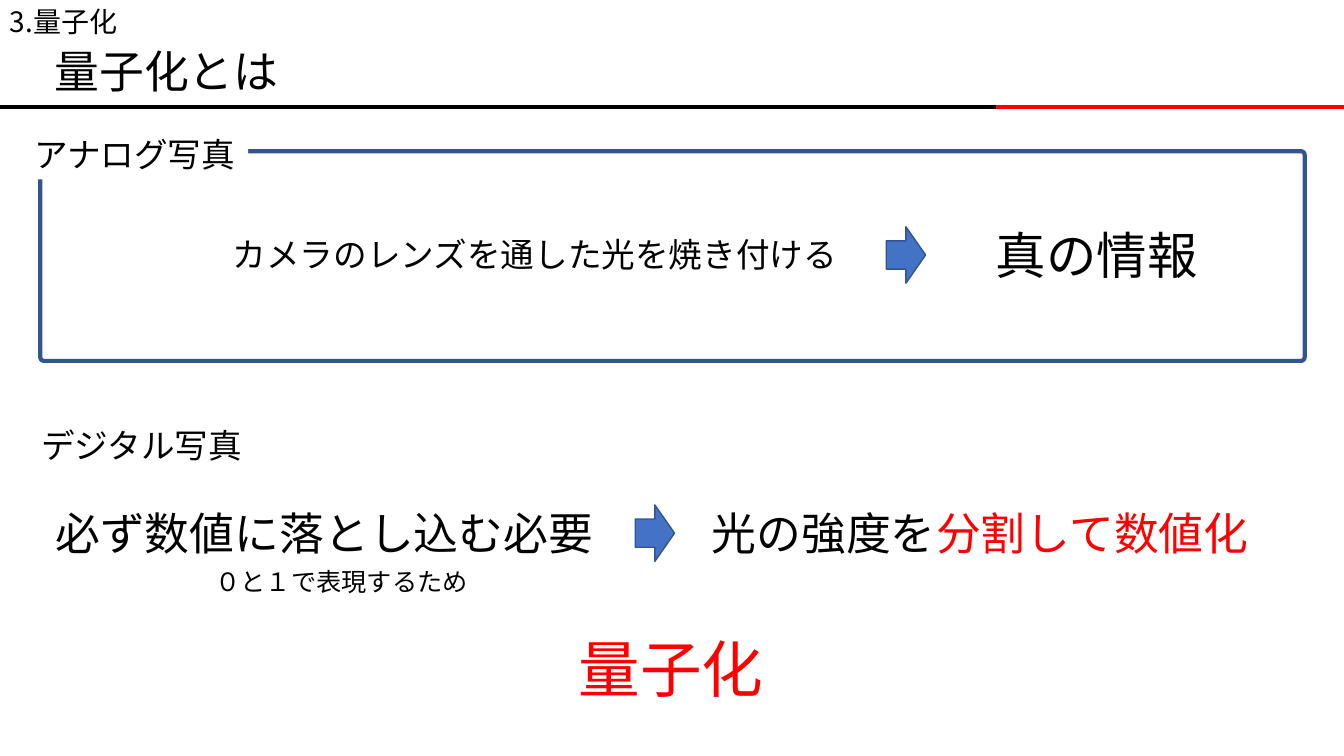
from dataclasses import dataclass

from lxml.etree import SubElement
from pptx import Presentation
from pptx.dml.color import RGBColor
from pptx.enum.shapes import MSO_CONNECTOR, MSO_SHAPE
from pptx.enum.text import MSO_ANCHOR, MSO_AUTO_SIZE, PP_ALIGN
from pptx.oxml.ns import qn
from pptx.shapes.autoshape import Shape
from pptx.slide import Slide
from pptx.util import Inches, Pt

FONT = "Noto Sans CJK JP"
COLORS = {
    "black": "000000",
    "red": "FF0000",
    "white": "FFFFFF",
    "blue": "4472C4",
    "navy": "325491",
}
RULE_TOP = 1.06
ARROW_WIDTH, ARROW_HEIGHT = 0.39, 0.56


@dataclass
class Segment:
    text: str
    color: str = "black"


@dataclass
class Label:
    left: float
    top: float
    width: float
    height: float
    size: int
    segments: list[Segment]
    fill: str = ""


@dataclass
class Rule:
    start: float
    end: float
    color: str


@dataclass
class Arrow:
    left: float
    top: float


TITLE = Label(0.44, 0.38, 2.45, 0.64, 32, [Segment("量子化とは")])
LABELS = [
    Label(0, 0, 1.35, 0.44, 20, [Segment("3.量子化")]),
    Label(0.24, 1.28, 2.22, 0.5, 24, [Segment("アナログ写真")], "white"),
    Label(2.21, 2.27, 6.26, 0.5, 24, [Segment("カメラのレンズを通した光を焼き付ける")]),
    Label(9.78, 2.17, 2.22, 0.71, 36, [Segment("真の情報")]),
    Label(0.31, 4.17, 2.22, 0.5, 24, [Segment("デジタル写真")]),
    Label(0.45, 4.97, 5.59, 0.64, 32, [Segment("必ず数値に落とし込む必要")]),
    Label(6.96, 4.97, 5.59, 0.64, 32,
          [Segment("光の強度を"), Segment("分割して数値化", "red")]),
    Label(5.64, 6.21, 2.05, 0.84, 44, [Segment("量子化", "red")]),
    Label(2.04, 5.57, 2.73, 0.4, 18, [Segment("０と１で表現するため")]),
]
RULES = [Rule(3.38, 13.33, "red"), Rule(0, 9.88, "black")]
ARROWS = [Arrow(8.79, 2.25), Arrow(6.3, 5.01)]


def color_of(name: str) -> RGBColor:
    return RGBColor.from_string(COLORS[name])


def write_label(shape: Shape, label: Label) -> None:
    shape.left, shape.top = Inches(label.left), Inches(label.top)
    shape.width, shape.height = Inches(label.width), Inches(label.height)
    if label.fill:
        shape.fill.solid()
        shape.fill.fore_color.rgb = color_of(label.fill)
    frame = shape.text_frame
    frame.word_wrap = False
    frame.auto_size = MSO_AUTO_SIZE.SHAPE_TO_FIT_TEXT
    frame.vertical_anchor = MSO_ANCHOR.TOP
    paragraph = frame.paragraphs[0]
    paragraph.alignment = PP_ALIGN.LEFT
    font = paragraph.font
    font.size = Pt(label.size)
    font.color.rgb = color_of(label.segments[0].color)
    font.name = FONT
    properties = paragraph._p.pPr.find(qn("a:defRPr"))
    SubElement(properties, qn("a:ea")).set("typeface", FONT)
    for segment in label.segments:
        run = paragraph.add_run()
        run.text = segment.text
        if segment.color != label.segments[0].color:
            run.font.color.rgb = color_of(segment.color)


def add_label(slide: Slide, label: Label) -> None:
    shape = slide.shapes.add_textbox(0, 0, 0, 0)
    write_label(shape, label)


def add_frame(slide: Slide) -> None:
    frame = slide.shapes.add_shape(
        MSO_SHAPE.ROUNDED_RECTANGLE,
        Inches(0.4), Inches(1.5), Inches(12.54), Inches(2.08),
    )
    frame.adjustments[0] = 0.017
    frame.shadow.inherit = False
    frame.fill.background()
    frame.line.color.rgb = color_of("navy")
    frame.line.width = Pt(3)


def add_rule(slide: Slide, rule: Rule) -> None:
    connector = slide.shapes.add_connector(
        MSO_CONNECTOR.STRAIGHT,
        Inches(rule.start), Inches(RULE_TOP), Inches(rule.end), Inches(RULE_TOP),
    )
    connector.line.color.rgb = color_of(rule.color)
    connector.line.width = Pt(3)
    SubElement(connector._element.spPr, qn("a:effectLst"))


def add_arrow(slide: Slide, arrow: Arrow) -> None:
    shape = slide.shapes.add_shape(
        MSO_SHAPE.RIGHT_ARROW,
        Inches(arrow.left), Inches(arrow.top),
        Inches(ARROW_WIDTH), Inches(ARROW_HEIGHT),
    )
    shape.shadow.inherit = False
    shape.fill.solid()
    shape.fill.fore_color.rgb = color_of("blue")
    shape.line.color.rgb = color_of("navy")
    shape.line.width = Pt(1)


def main() -> None:
    presentation = Presentation()
    presentation.slide_width = Inches(13.33)
    presentation.slide_height = Inches(7.5)
    slide = presentation.slides.add_slide(presentation.slide_layouts[5])
    write_label(slide.shapes.title, TITLE)
    add_frame(slide)
    for rule in RULES:
        add_rule(slide, rule)
    for label in LABELS:
        add_label(slide, label)
    for arrow in ARROWS:
        add_arrow(slide, arrow)
    presentation.save("out.pptx")


if __name__ == "__main__":
    main()
